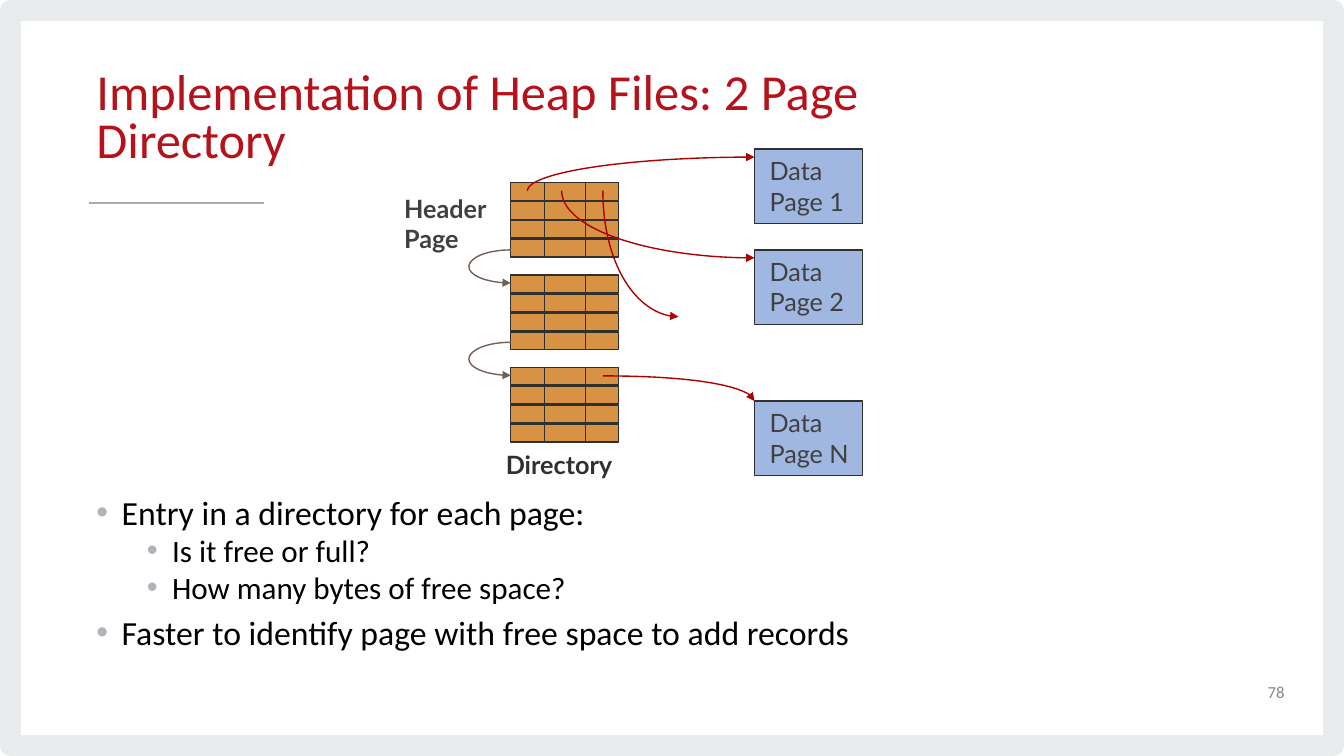
"""Build the slide on heap files kept as a page directory."""
from dataclasses import dataclass
from typing import NamedTuple

from lxml.etree import SubElement
from pptx import Presentation
from pptx.dml.color import RGBColor
from pptx.enum.shapes import MSO_CONNECTOR, MSO_SHAPE
from pptx.enum.text import MSO_ANCHOR, PP_ALIGN
from pptx.oxml.ns import qn
from pptx.util import Emu, Inches, Pt

WIDE, HIGH = Inches(13.33), Inches(7.5)
CELL = HIGH / 90

Point = tuple[float, float]
Curve = tuple[Point, Point, Point, Point]


@dataclass(frozen=True)
class Theme:
    frame: str = "E9ECED"
    rule: str = "A6ADB1"
    title: str = "B5121B"
    body: str = "000000"
    bullet: str = "AEB4B9"
    number: str = "888888"
    entry: str = "D89243"
    page: str = "A0B7E1"
    edge: str = "303030"
    label: str = "404040"
    loop: str = "726056"
    arrow: str = "AD0101"
    main: str = "Calibri"
    side: str = "Lato"
    head: float = 36
    lead: float = 34.7
    top: float = 24.1
    sub: float = 22.2
    tag: float = 18
    small: float = 12


class Box(NamedTuple):
    x: float
    y: float
    w: float
    h: float


class Label(NamedTuple):
    box: Box
    lines: list[str]
    size: float
    font: str
    color: str
    bold: bool = False
    wrap: bool = False
    inset: float = 0.6


class Item(NamedTuple):
    text: str
    level: int = 0


LOOK = Theme()
LEFT, SPAN = 60.8, 12.85
TOPS = (21.75, 32.75, 43.75)
PAGES = {"Page 1": 17.75, "Page 2": 29.75, "Page N": 47.75}
TITLE = Label(Box(10.3, 6.25, 108.25, 16.1), ["Implementation of Heap Files: 2 Page Directory"],
              LOOK.head, LOOK.main, LOOK.title, wrap=True, inset=1.2)
NUMBER = Label(Box(117.5, 79.95, 36, 4.8), ["78"], LOOK.small, LOOK.main, LOOK.number, wrap=True)
TAGS = (
    Label(Box(47.5, 22.45, 12.1, 8.5), ["Header", "Page"], LOOK.tag, LOOK.side, LOOK.label, True),
    Label(Box(59.6, 52.9, 15.35, 4.8), ["Directory"], LOOK.tag, LOOK.side, LOOK.edge, True),
)
ITEMS = (
    Item("Entry in a directory for each page:"),
    Item("Is it free or full?", 1),
    Item("How many bytes of free space?", 1),
    Item("Faster to identify page with free space to add records"),
)
ARROWS: tuple[Curve, ...] = (
    ((62.75, 22.7), (63, 20.5), (75, 18.7), (89.8, 18.7)),
    ((66.85, 22.7), (66.85, 27.1), (77.15, 30.7), (89.8, 30.7)),
    ((71.75, 22.7), (71.75, 31), (75.85, 37.7), (80.75, 37.7)),
    ((71.75, 44.75), (81.7, 44.75), (89.8, 46.1), (89.8, 47.75)),
)


def grid(*cells: float) -> list[Emu]:
    return [Emu(round(cell * CELL)) for cell in cells]


def stroke(shape, color: str, width: float) -> None:
    shape.line.color.rgb = RGBColor.from_string(color)
    shape.line.width = Pt(width)


def draw_box(slide, box: Box, fill: str | None, edge: str, width: float = 1):
    shape = slide.shapes.add_shape(MSO_SHAPE.RECTANGLE, *grid(*box))
    shape.shadow.inherit = False
    if fill:
        shape.fill.solid()
        shape.fill.fore_color.rgb = RGBColor.from_string(fill)
    else:
        shape.fill.background()
    stroke(shape, edge, width)
    return shape


def draw_line(slide, start: Point, end: Point, color: str, width: float = 1) -> None:
    line = slide.shapes.add_connector(MSO_CONNECTOR.STRAIGHT, *grid(*start, *end))
    stroke(line, color, width)
    SubElement(line.element.spPr, qn("a:effectLst"))


def draw_curve(slide, curve: Curve, color: str, arrow: bool = True) -> None:
    start, *rest = [grid(*point) for point in curve]
    pen = slide.shapes.build_freeform(*start)
    pen.add_line_segments(rest, close=False)
    shape = pen.convert_to_shape()
    shape.shadow.inherit = False
    shape.fill.background()
    stroke(shape, color, 1)
    track = next(shape.element.iter(qn("a:path")))
    bend = SubElement(track, qn("a:cubicBezTo"))
    for step in track.findall(qn("a:lnTo")):
        bend.append(step[0])
        track.remove(step)
    if arrow:
        SubElement(shape.element.spPr.find(qn("a:ln")), qn("a:tailEnd"), type="triangle")


def draw_text(slide, label: Label):
    frame = slide.shapes.add_textbox(*grid(*label.box)).text_frame
    frame.word_wrap = label.wrap
    frame.margin_left, frame.margin_right = grid(label.inset, label.inset)
    frame.margin_top, frame.margin_bottom = grid(0.6, 0.6)
    frame.text = "\n".join(label.lines)
    for para in frame.paragraphs:
        para.font.size, para.font.name, para.font.bold = Pt(label.size), label.font, label.bold
        para.font.color.rgb = RGBColor.from_string(label.color)
    return frame


def draw_list(slide, box: Box) -> None:
    frame = draw_text(slide, Label(box, [item.text for item in ITEMS], LOOK.top, LOOK.main,
                                   LOOK.body, wrap=True, inset=1.2))
    for para, item in zip(frame.paragraphs, ITEMS):
        para.level, para.line_spacing = item.level, 0.8
        if item != ITEMS[0]:
            para.space_before = Pt(5 if item.level else 10)
        props = para._p.get_or_add_pPr()
        props.set("marL", str(Inches(0.25 + 0.5 * item.level)))
        props.set("indent", str(-Inches(0.25)))
        font = props.find(qn("a:defRPr"))
        SubElement(SubElement(props, qn("a:buClr")), qn("a:srgbClr"), val=LOOK.bullet)
        SubElement(props, qn("a:buFont"), typeface="Arial")
        SubElement(props, qn("a:buChar"), char="•")
        props.append(font)
        para.font.size = Pt(LOOK.sub if item.level else LOOK.top)


def draw_block(slide, top: float) -> None:
    for row in range(4):
        draw_box(slide, Box(LEFT, top + 2.25 * row, SPAN, 2.1), LOOK.entry, LOOK.edge)
    for col in (64.8, 69.7):
        draw_line(slide, (col, top), (col, top + 8.85), LOOK.edge)


def draw_loop(slide, top: float) -> None:
    far, near, mid, end = 55.8, 58.1, top + 9.95, top + 11.95
    out = ((far, mid), (55.9, top + 8.85), (near, top + 8), (LEFT, top + 8))
    back = ((far, mid), (far, top + 11), (near, end), (LEFT, end))
    draw_curve(slide, out, LOOK.loop, False)
    draw_curve(slide, back, LOOK.loop)


def main() -> None:
    deck = Presentation()
    deck.slide_width, deck.slide_height = WIDE, HIGH
    slide = deck.slides.add_slide(deck.slide_layouts[6])
    rim = draw_box(slide, Box(1.25, 1.25, 157.5, 87.5), None, LOOK.frame, 15.11)
    SubElement(rim.element.spPr.find(qn("a:ln")), qn("a:round"))
    draw_line(slide, (10.65, 24.12), (31.4, 24.12), LOOK.rule, 1.33)
    title = draw_text(slide, TITLE)
    title.paragraphs[0].line_spacing = Pt(LOOK.lead)
    draw_list(slide, Box(10.3, 58.9, 128.75, 22))
    number = draw_text(slide, NUMBER)
    number.paragraphs[0].alignment = PP_ALIGN.RIGHT
    title.vertical_anchor = number.vertical_anchor = MSO_ANCHOR.MIDDLE
    for top in TOPS:
        draw_block(slide, top)
    for name, top in PAGES.items():
        draw_box(slide, Box(89.8, top, SPAN, 8.9), LOOK.page, LOOK.edge)
        draw_text(slide, Label(Box(91, top + 0.2, 11, 8.5), ["Data", name],
                               LOOK.tag, LOOK.side, LOOK.label))
    for tag in TAGS:
        draw_text(slide, tag)
    for top in TOPS[:-1]:
        draw_loop(slide, top)
    for curve in ARROWS:
        draw_curve(slide, curve, LOOK.arrow)
    deck.save("out.pptx")


if __name__ == "__main__":
    main()
